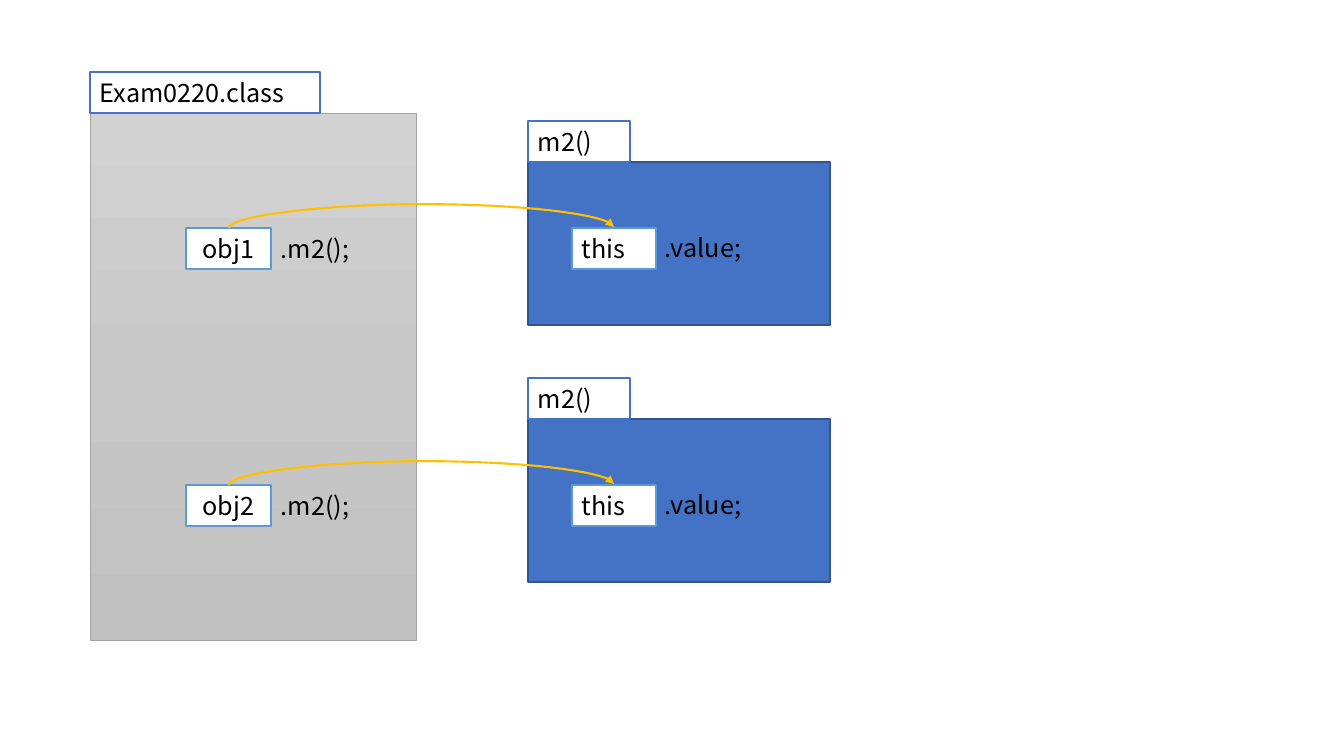
from copy import deepcopy

from lxml import etree
from pptx import Presentation
from pptx import util as u
from pptx.dml.color import RGBColor
from pptx.enum import shapes, text
from pptx.oxml.ns import qn

PX = 914400 / 100.8
FONT = "Noto Sans CJK KR"
TALL = 41
STEP = 257
BLACK = RGBColor(0x00, 0x00, 0x00)
WHITE = RGBColor(0xFF, 0xFF, 0xFF)
BLUE = RGBColor(0x44, 0x72, 0xC4)
NAVY = RGBColor(0x32, 0x54, 0x91)
SKY = RGBColor(0x5B, 0x9B, 0xD5)
GOLD = RGBColor(0xFF, 0xC0, 0x00)
GRAY = RGBColor(0xA5, 0xA5, 0xA5)
SHADES = (
    RGBColor(0xD2, 0xD2, 0xD2),
    RGBColor(0xC8, 0xC8, 0xC8),
    RGBColor(0xC0, 0xC0, 0xC0),
)


def px(*sizes):
    """Turn pixel lengths into EMU."""
    return [u.Emu(round(size * PX)) for size in sizes]


def write(shape, words, align=text.PP_ALIGN.LEFT):
    """Put one line of text in a shape."""
    frame = shape.text_frame
    frame.word_wrap = True
    frame.auto_size = text.MSO_AUTO_SIZE.SHAPE_TO_FIT_TEXT
    frame.vertical_anchor = text.MSO_ANCHOR.TOP
    para = frame.paragraphs[0]
    para.alignment = align
    run = para.add_run()
    run.text = words
    run.font.name = FONT
    run.font.size = u.Pt(18)
    run.font.color.rgb = BLACK


def panel(slide, place, edge, fill=None, weight=1):
    """Add a bordered rectangle."""
    shape = slide.shapes.add_shape(shapes.MSO_SHAPE.RECTANGLE, *px(*place))
    shape.shadow.inherit = False
    if fill is not None:
        shape.fill.solid()
        shape.fill.fore_color.rgb = fill
    shape.line.color.rgb = edge
    shape.line.width = u.Pt(weight)
    return shape


def shade(shape):
    """Fill a shape with the grey gradient from top to bottom."""
    fill = shape.fill
    fill.gradient()
    fill.gradient_angle = 270
    stops = shape.element.spPr.find(qn("a:gradFill")).find(qn("a:gsLst"))
    stops.append(deepcopy(stops[-1]))
    for i, stop in enumerate(fill.gradient_stops):
        stop.position = i / 2
        stop.color.rgb = SHADES[i]


def box(slide, left, top, width, words, edge, align=text.PP_ALIGN.LEFT):
    """Add a white box with text."""
    shape = panel(slide, (left, top, width, TALL), edge, WHITE)
    write(shape, words, align)


def label(slide, left, top, words):
    """Add plain text."""
    write(slide.shapes.add_textbox(*px(left, top, 113, TALL)), words)


def arc(slide, left, top, span, rise):
    """Add a curved arrow that climbs, crosses to the right and drops."""
    ends = px(left + 1, top + span, left, top)
    line = slide.shapes.add_connector(shapes.MSO_CONNECTOR.CURVE, *ends)
    line.line.color.rgb = GOLD
    line.line.width = u.Pt(1.5)
    props = line.element.spPr
    props.find(qn("a:xfrm")).set("rot", str(90 * 60000))
    guides = props.find(qn("a:prstGeom")).find(qn("a:avLst"))
    etree.SubElement(guides, qn("a:gd"), name="adj1", fmla=f"val {rise * 100000}")
    etree.SubElement(props.find(qn("a:ln")), qn("a:tailEnd"), type="triangle")
    etree.SubElement(props, qn("a:effectLst"))


def call(slide, name, down):
    """Add one object's call and the method it reaches."""
    panel(slide, (528, 162 + down, 302, 163), NAVY, BLUE)
    row = 228 + down
    box(slide, 186, row, 85, name, SKY, text.PP_ALIGN.CENTER)
    box(slide, 572, row, 84, "this", SKY)
    label(slide, 271, row, ".m2();")
    label(slide, 655, row - 1, ".value;")
    box(slide, 528, 121 + down, 102, "m2()", BLUE)
    arc(slide, 421, 35 + down, 385, 24)


def main():
    """Build the slide and save it."""
    deck = Presentation()
    deck.slide_width, deck.slide_height = px(1344, 756)
    slide = deck.slides.add_slide(deck.slide_layouts[6])
    shade(panel(slide, (90, 113, 326, 527), GRAY, weight=0.5))
    for i, name in enumerate(("obj1", "obj2")):
        call(slide, name, i * STEP)
    box(slide, 90, 72, 230, "Exam0220.class", BLUE)
    deck.save("out.pptx")


if __name__ == "__main__":
    main()
